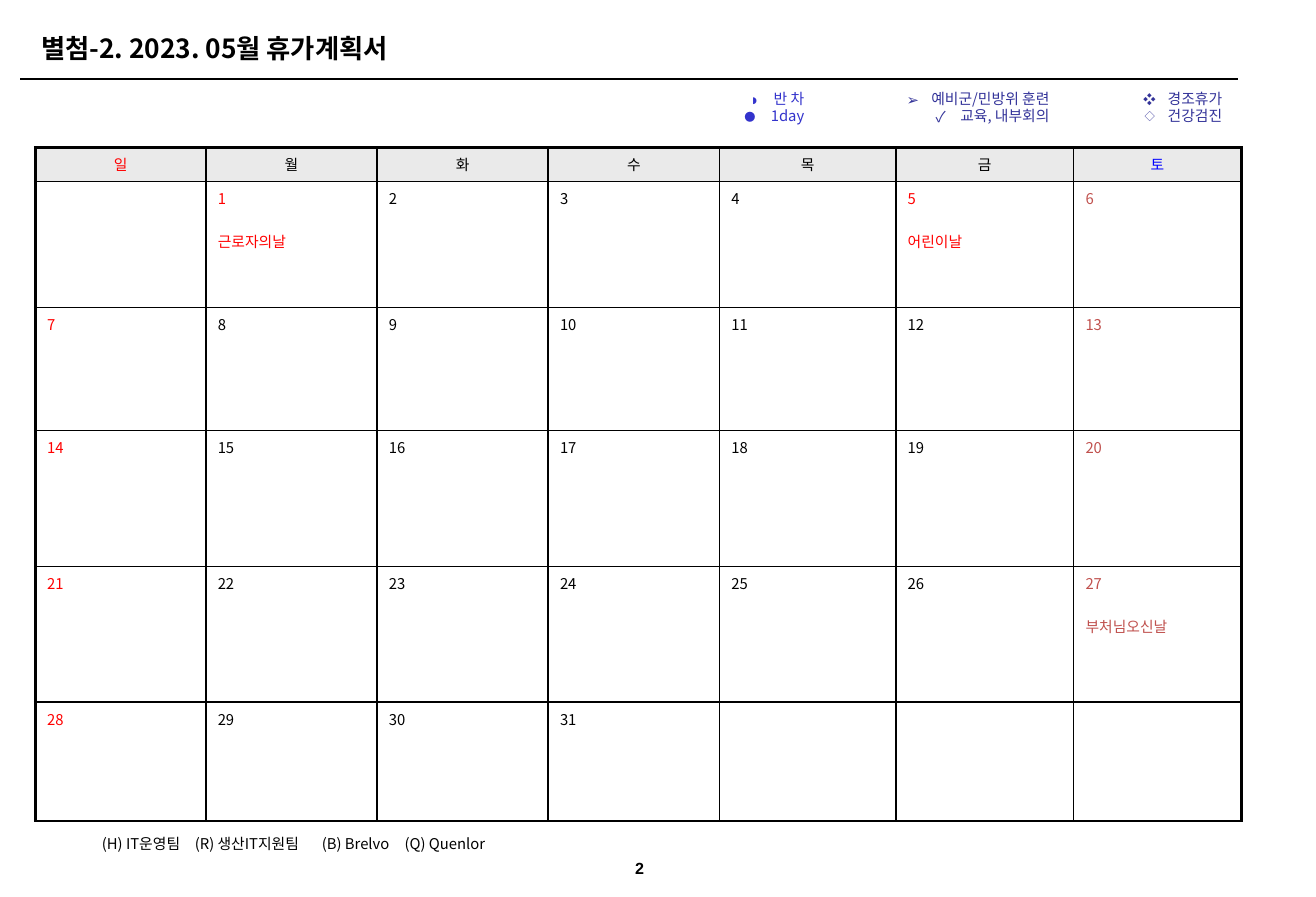
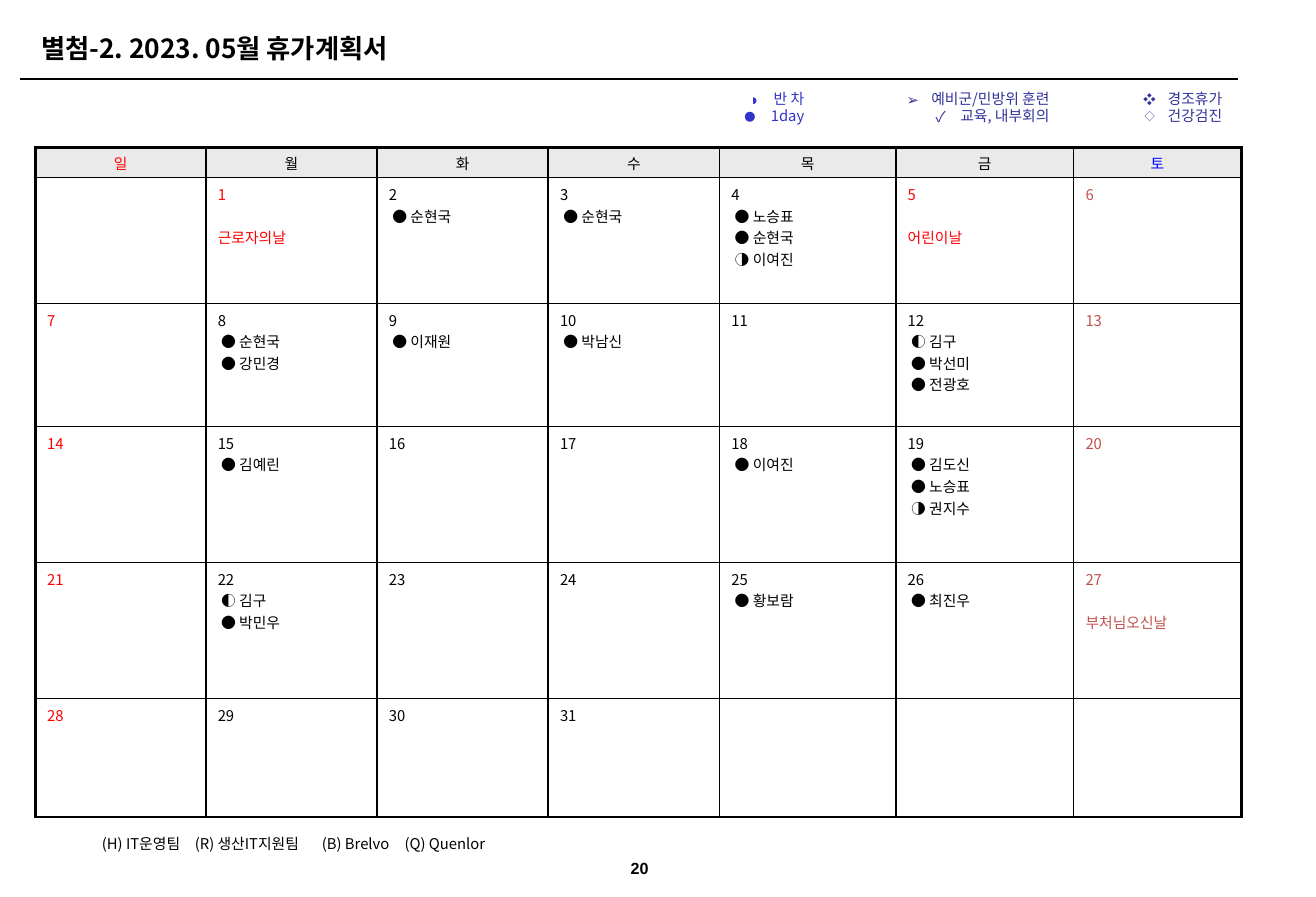
from lxml import etree
from pptx import Presentation
from pptx.dml.color import RGBColor
from pptx.enum import shapes, text
from pptx.oxml import ns
from pptx.util import Pt

BLACK = RGBColor(0, 0, 0)
RED = RGBColor(255, 0, 0)
BLUE = RGBColor(0, 0, 255)
BRICK = RGBColor(0xC0, 0x50, 0x4D)
GREY = RGBColor(0xEA, 0xEA, 0xEA)
INDIGO = RGBColor(0x33, 0x33, 0xCC)
NAVY = RGBColor(0x33, 0x33, 0x99)

SANS = "Noto Sans CJK KR"
ALIGN = text.PP_ALIGN
MID = text.MSO_ANCHOR.MIDDLE

DAYS = "일월화수목금토"
COLS = [103.7, 104.1, 104, 104.2, 107.2, 108.1, 101.8]
ROWS = [76.5, 74.8, 82.6, 82.6, 72.2]
LAST = 31
FEASTS = {1: "근로자의날", 5: "어린이날", 27: "부처님오신날"}
LEAVE = {
    2: ["● 순현국"],
    3: ["● 순현국"],
    4: ["● 노승표", "● 순현국", "◑ 이여진"],
    8: ["● 순현국", "● 강민경"],
    9: ["● 이재원"],
    10: ["● 박남신"],
    12: ["◐ 김구", "● 박선미", "● 전광호"],
    15: ["● 김예린"],
    18: ["● 이여진"],
    19: ["● 김도신", "● 노승표", "◑ 권지수"],
    22: ["◐ 김구", "● 박민우"],
    25: ["● 황보람"],
    26: ["● 최진우"],
}
LEGENDS = [
    (444, 52, 52, INDIGO, [("◗", "반 차", 13, 60), ("●", "1day", 16, 75)]),
    (533, 112, 52, NAVY,
     [("➢", "예비군/민방위 훈련", 15, 100), ("✓", "교육, 내부회의", 15, 100)]),
    (618, 132, 52, NAVY, [("❖", "경조휴가", 15, 85), ("◇", "건강검진", 14, 70)]),
]
TEAMS = "(H) IT운영팀\t(R) 생산IT지원팀\t(B) Brelvo\t(Q) Quenlor"
STOPS = [56.5, 133.7, 184]


def put(item, **form):
    for key, value in form.items():
        setattr(item, key, value)


def node(root, tag, **form):
    return etree.SubElement(root, ns.qn("a:" + tag), form)


def units(size):
    return str(int(Pt(size)))


def write(para, words, color=BLACK, size=9, face=SANS, bold=False, **form):
    put(para, **form)
    run = para.add_run()
    run.text = words
    put(run.font, size=Pt(size), name=face, bold=bold)
    run.font.color.rgb = color
    node(run.font._element, "ea", typeface=face)


def add_box(slide, left, top, width, height, **form):
    frame = slide.shapes.add_textbox(
        Pt(left), Pt(top), Pt(width), Pt(height)).text_frame
    put(frame, **{"word_wrap": True, **form})
    return frame


def next_para(frame, index):
    return frame.add_paragraph() if index else frame.paragraphs[0]


def add_legend(slide, left, width, top, color, items):
    frame = add_box(slide, left, top, width, 28)
    for i, (mark, words, hang, scale) in enumerate(items):
        para = next_para(frame, i)
        write(para, words, color, alignment=ALIGN.RIGHT, line_spacing=0.95)
        props = para._p.get_or_add_pPr()
        put_indent(props, hang, -hang)
        node(node(props, "buClr"), "srgbClr", val=str(color))
        node(props, "buSzPct", val=str(scale * 1000))
        node(props, "buFont", typeface=SANS)
        node(props, "buChar", char=mark)


def put_indent(props, left, first=0):
    props.set("marL", units(left))
    props.set("indent", units(first))


def add_teams(slide):
    frame = add_box(slide, 54.9, 504.5, 260, 17.2, vertical_anchor=MID)
    para = frame.paragraphs[0]
    write(para, TEAMS, line_spacing=0.95)
    tabs = node(para._p.get_or_add_pPr(), "tabLst")
    for stop in STOPS:
        node(tabs, "tab", pos=units(stop), algn="l")


def add_frame(slide, page):
    rule = slide.shapes.add_connector(
        shapes.MSO_CONNECTOR.STRAIGHT, Pt(12.2), Pt(48), Pt(752.4), Pt(48))
    rule.line.color.rgb = BLACK
    rule.line.width = Pt(1.5)
    node(rule._element.spPr, "effectLst")
    title = add_box(slide, 18, 15.8, 713, 26.6, vertical_anchor=MID)
    write(title.paragraphs[0], "별첨-2. 2023. 05월 휴가계획서", size=16, bold=True)
    foot = add_box(slide, 369.4, 516.2, 38.8, 22.3, vertical_anchor=MID)
    write(foot.paragraphs[0], str(page), size=9.8, face="Arial", bold=True,
          alignment=ALIGN.CENTER)


def add_edges(cell, row, col):
    props = cell._tc.get_or_add_tcPr()
    heavy = {"lnL": col == 0, "lnR": col == len(COLS) - 1, "lnT": row == 0}
    for spot, tag in enumerate(("lnL", "lnR", "lnT", "lnB")):
        edge = etree.Element(
            ns.qn("a:" + tag), {"w": units(2 if heavy.get(tag) else 1)})
        node(node(edge, "solidFill"), "srgbClr", val=str(BLACK))
        props.insert(spot, edge)


def fill_day(cell, day, col, leave):
    if not 1 <= day <= LAST:
        return
    color = {0: RED, 6: BRICK}.get(col, RED if day in FEASTS else BLACK)
    frame = cell.text_frame
    write(frame.paragraphs[0], str(day), color)
    if day in FEASTS:
        write(frame.add_paragraph(), FEASTS[day], color, space_before=Pt(13))
    for name in leave.get(day, []):
        para = frame.add_paragraph()
        write(para, name)
        put_indent(para._p.get_or_add_pPr(), 2)


def add_month(slide, head, leave):
    rows = [head] + ROWS
    table = slide.shapes.add_table(
        len(rows), len(COLS), Pt(21.5), Pt(89.8), Pt(sum(COLS)), Pt(sum(rows))).table
    put(table, first_row=False, horz_banding=False)
    for col, width in zip(table.columns, COLS):
        col.width = Pt(width)
    for r, height in enumerate(rows):
        table.rows[r].height = Pt(height)
        for c, name in enumerate(DAYS):
            cell = table.cell(r, c)
            if r:
                cell.fill.background()
                fill_day(cell, (r - 1) * 7 + c, c, leave)
            else:
                cell.fill.solid()
                cell.fill.fore_color.rgb = GREY
                put(cell, vertical_anchor=MID, margin_top=Pt(2), margin_bottom=Pt(2))
                write(cell.text_frame.paragraphs[0], name,
                      {0: RED, 6: BLUE}.get(c, BLACK), alignment=ALIGN.CENTER)
            add_edges(cell, r, c)


def main():
    deck = Presentation()
    put(deck, slide_width=Pt(800), slide_height=Pt(545))
    for page, head, leave in [(2, 20.4, {}), (20, 18, LEAVE)]:
        slide = deck.slides.add_slide(deck.slide_layouts[6])
        add_frame(slide, page)
        add_month(slide, head, leave)
        for legend in LEGENDS:
            add_legend(slide, *legend)
        add_teams(slide)
    deck.save("out.pptx")


if __name__ == "__main__":
    main()
